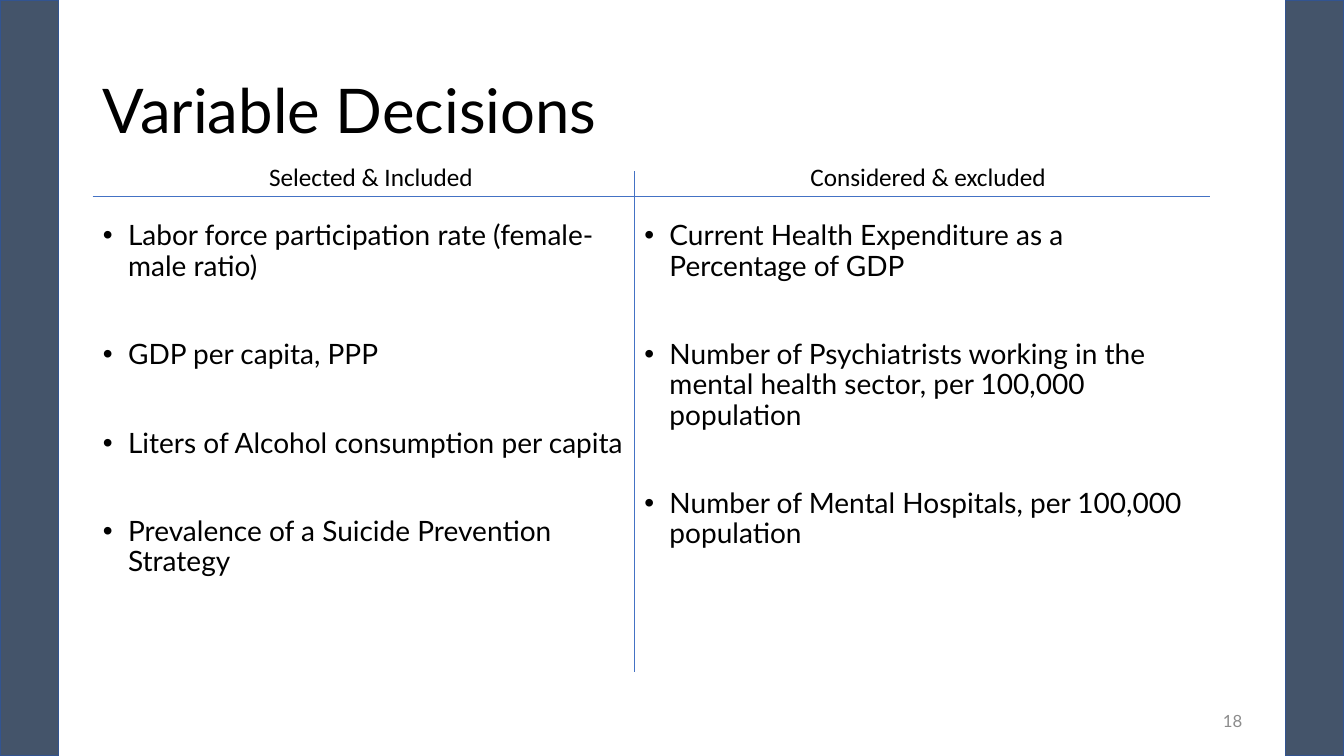
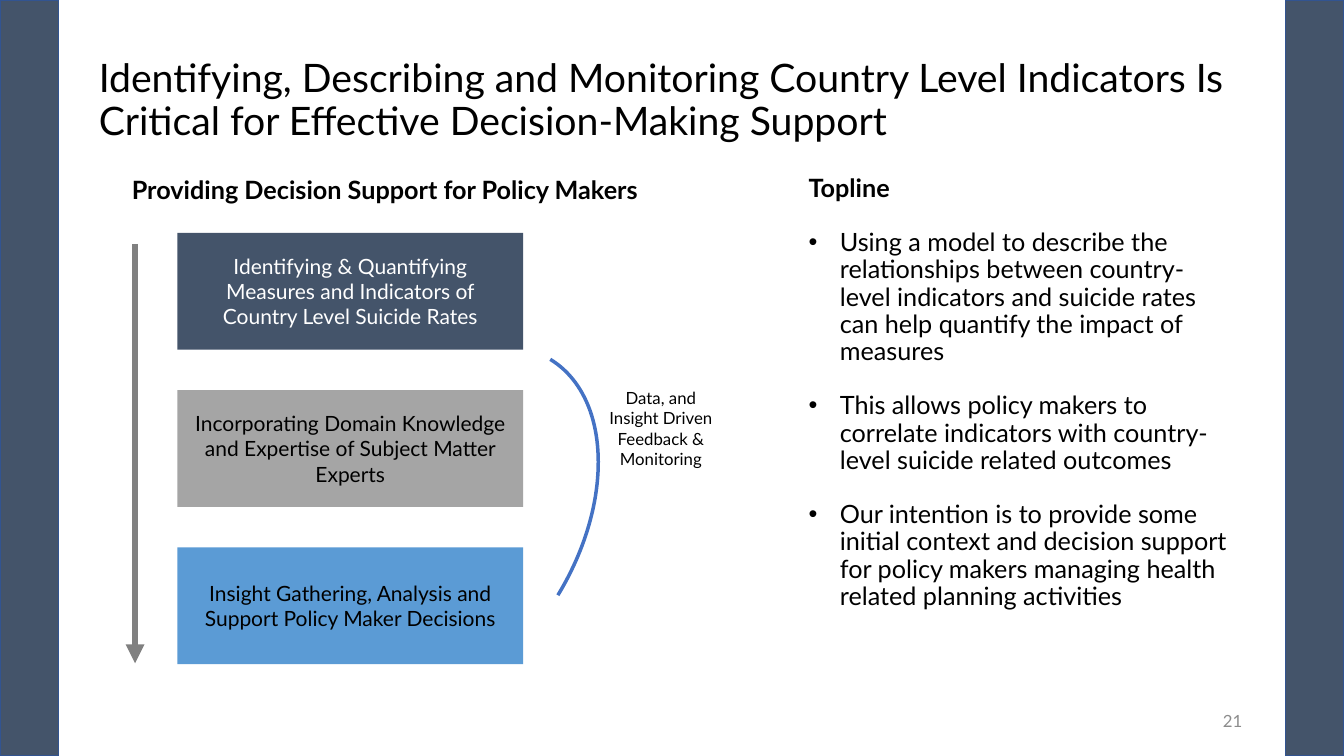
from dataclasses import dataclass

from lxml import etree
from pptx import Presentation
from pptx.dml.color import RGBColor
from pptx.enum.shapes import MSO_CONNECTOR, MSO_SHAPE
from pptx.enum.text import MSO_ANCHOR, MSO_AUTO_SIZE, PP_ALIGN
from pptx.oxml.ns import qn
from pptx.util import Inches, Pt

RECT, ARC = MSO_SHAPE.RECTANGLE, MSO_SHAPE.ARC
STRAIGHT = MSO_CONNECTOR.STRAIGHT
TOP, MIDDLE = MSO_ANCHOR.TOP, MSO_ANCHOR.MIDDLE
LEFT, CENTER, RIGHT = PP_ALIGN.LEFT, PP_ALIGN.CENTER, PP_ALIGN.RIGHT
NO_FIT = MSO_AUTO_SIZE.NONE
TITLE_ONLY_BODY, TWO_BODIES = 1, 3


@dataclass(frozen=True)
class Theme:
    font: str = "Lato"
    alt_font: str = "Calibri"
    text: str = "000000"
    white: str = "FFFFFF"
    navy: str = "44546A"
    band_edge: str = "325491"
    gray: str = "A5A5A5"
    sky: str = "5B9BD5"
    accent: str = "4472C4"
    arrow: str = "808080"
    muted: str = "8C8C8C"
    title: int = 44
    long_title: int = 28
    list: int = 20
    heading: int = 18
    box: int = 15
    small: int = 12
    spacing: float = 0.9


T = Theme()


def rgb(value):
    return RGBColor.from_string(value)


def inches(box):
    return [Inches(v) for v in box]


def place(sp, box):
    for name, value in zip(("left", "top", "width", "height"), inches(box)):
        setattr(sp, name, value)


def write(p, text, size, color=T.text, font=T.font, bold=False, **paragraph):
    for name, value in paragraph.items():
        setattr(p, name, value)
    r = p.add_run()
    r.text = text
    for name, value in {"name": font, "size": Pt(size), "bold": bold}.items():
        setattr(r.font, name, value)
    r.font.color.rgb = rgb(color)


def set_bullet(p, indent):
    pPr = p._p.get_or_add_pPr()
    pPr.set("marL", str(Inches(indent)))
    pPr.set("indent", str(-Inches(indent)))
    if indent:
        etree.SubElement(pPr, qn("a:buFont")).set("typeface", "Arial")
        etree.SubElement(pPr, qn("a:buChar")).set("char", "•")
    else:
        etree.SubElement(pPr, qn("a:buNone"))


def set_frame(tf, anchor):
    for name, value in {"word_wrap": True, "auto_size": NO_FIT,
                        "vertical_anchor": anchor}.items():
        setattr(tf, name, value)


def add_label(s, box, text, size, anchor=TOP, alignment=LEFT, **style):
    tf = s.shapes.add_textbox(*inches(box)).text_frame
    set_frame(tf, anchor)
    write(tf.paragraphs[0], text, size, alignment=alignment, **style)


def add_shape(s, kind, box, fill=None, line=None, weight=1):
    sp = s.shapes.add_shape(kind, *inches(box))
    sp.shadow.inherit = False
    if fill:
        sp.fill.solid()
        sp.fill.fore_color.rgb = rgb(fill)
    else:
        sp.fill.background()
    if line:
        sp.line.color.rgb = rgb(line)
        sp.line.width = Pt(weight)
    else:
        sp.line.fill.background()
    return sp


def add_line(s, start, end, color, weight, arrow=False):
    cxn = s.shapes.add_connector(STRAIGHT, *inches(start + end))
    cxn.line.color.rgb = rgb(color)
    cxn.line.width = Pt(weight)
    if arrow:
        etree.SubElement(cxn.line._get_or_add_ln(), qn("a:tailEnd")).set("type", "triangle")
    etree.SubElement(cxn._element.spPr, qn("a:effectLst"))


def add_master_bands(prs, s):
    tree = prs.slide_master.shapes._spTree
    for i, left in enumerate((0, 12.75)):
        sp = add_shape(s, RECT, (left, 0, 0.58, 7.5), T.navy, T.band_edge)
        sp._element.nvSpPr.cNvPr.set("id", str(101 + i))
        tree.insert(2 + i, sp._element)


def add_title(s, box, text, size):
    place(s.shapes.title, box)
    tf = s.shapes.title.text_frame
    set_frame(tf, MIDDLE)
    write(tf.paragraphs[0], text, size, alignment=LEFT, line_spacing=T.spacing)


def add_list(sp, box, items, size, gap, indent, heading=None):
    place(sp, box)
    tf = sp.text_frame
    set_frame(tf, TOP)
    lines = ([heading] if heading else []) + items
    for i, text in enumerate(lines):
        p = tf.add_paragraph() if i else tf.paragraphs[0]
        is_heading = text == heading
        set_bullet(p, 0 if is_heading else indent)
        write(p, text, size, bold=is_heading, line_spacing=T.spacing,
              space_before=Pt(gap if i else 0))


def add_page_number(s, number):
    add_label(s, (9.42, 6.95, 3, 0.4), number, T.small, MIDDLE, RIGHT, color=T.muted)


def add_comparison(s, box, columns):
    left, top, width, height = box
    middle = left + 5.37
    spots = ((left, 5.51, 1.65), (middle, 5.63, 1.65))
    for sp, (x, w, offset), (heading, items) in zip(list(s.placeholders)[1:], spots, columns):
        add_list(sp, (x, top + 0.45, w, 5.12), items, T.list, 41.6, 0.25)
        add_label(s, (x + offset, top - 0.15, 3, 0.4), heading, T.heading, font=T.alt_font)
    add_line(s, (middle, top), (middle, top + height), T.accent, 0.5)
    add_line(s, (left, top + 0.25), (left + width, top + 0.25), T.accent, 0.5)


def add_process(s, box, heading, steps, feedback):
    left, top, width, height = box
    add_label(s, (left, top, width, 0.4), heading, T.heading, bold=True)
    step_height, gap = 1.16, 0.4
    for i, (text, fill, color) in enumerate(steps):
        y = top + 0.63 + i * (step_height + gap)
        sp = add_shape(s, RECT, (left + 0.55, y, 3.43, step_height), fill)
        set_frame(sp.text_frame, MIDDLE)
        write(sp.text_frame.paragraphs[0], text, T.box, color, alignment=CENTER)
    add_line(s, (left + 0.13, top + 0.74), (left + 0.13, top + height), T.arrow, 4.5, True)
    arc = add_shape(s, ARC, (left + 1.95, top + 1.6, 2.56, 3.92), None, T.accent, 2.5)
    arc.rotation = 31.3
    add_label(s, (left + 4.64, top + 2.12, 1.41, 0.91), feedback, T.small, alignment=CENTER)


def variable_slide(s):
    add_title(s, (0.92, 0.4, 11.5, 1.45), "Variable Decisions", T.title)
    add_comparison(s, (0.92, 1.7, 11.08, 4.97), [
        ("Selected & Included", [
            "Labor force participation rate (female-male ratio)",
            "GDP per capita, PPP",
            "Liters of Alcohol consumption per capita",
            "Prevalence of a Suicide Prevention Strategy",
        ]),
        ("Considered & excluded", [
            "Current Health Expenditure as a Percentage of GDP",
            "Number of Psychiatrists working in the mental health sector, per 100,000 population",
            "Number of Mental Hospitals, per 100,000 population",
        ]),
    ])
    add_page_number(s, "18")


def support_slide(s):
    add_title(s, (0.88, 0.28, 11.5, 1.45),
              "Identifying, Describing and Monitoring Country Level Indicators Is "
              "Critical for Effective Decision-Making Support", T.long_title)
    add_process(s, (1.21, 1.68, 5.34, 4.9), "Providing Decision Support for Policy Makers", [
        ("Identifying & Quantifying Measures and Indicators of Country Level Suicide Rates",
         T.navy, T.white),
        ("Incorporating Domain Knowledge and Expertise of Subject Matter Experts",
         T.gray, T.text),
        ("Insight Gathering, Analysis and Support Policy Maker Decisions", T.sky, T.text),
    ], "Data, and Insight Driven Feedback & Monitoring")
    add_list(s.placeholders[1], (7.92, 1.69, 4.35, 4.98), [
        "Using a model to describe the relationships between country-level indicators "
        "and suicide rates can help quantify the impact of measures",
        "This allows policy makers to correlate indicators with country-level suicide "
        "related outcomes",
        "Our intention is to provide some initial context and decision support for policy "
        "makers managing health related planning activities",
    ], T.heading, 19.4, 0.31, "Topline")
    add_page_number(s, "21")


def main():
    prs = Presentation()
    prs.slide_width, prs.slide_height = Inches(13.33), Inches(7.5)
    pages = ((TWO_BODIES, variable_slide), (TITLE_ONLY_BODY, support_slide))
    for layout, build in pages:
        build(prs.slides.add_slide(prs.slide_layouts[layout]))
    add_master_bands(prs, prs.slides[0])
    prs.save("out.pptx")


if __name__ == "__main__":
    main()
